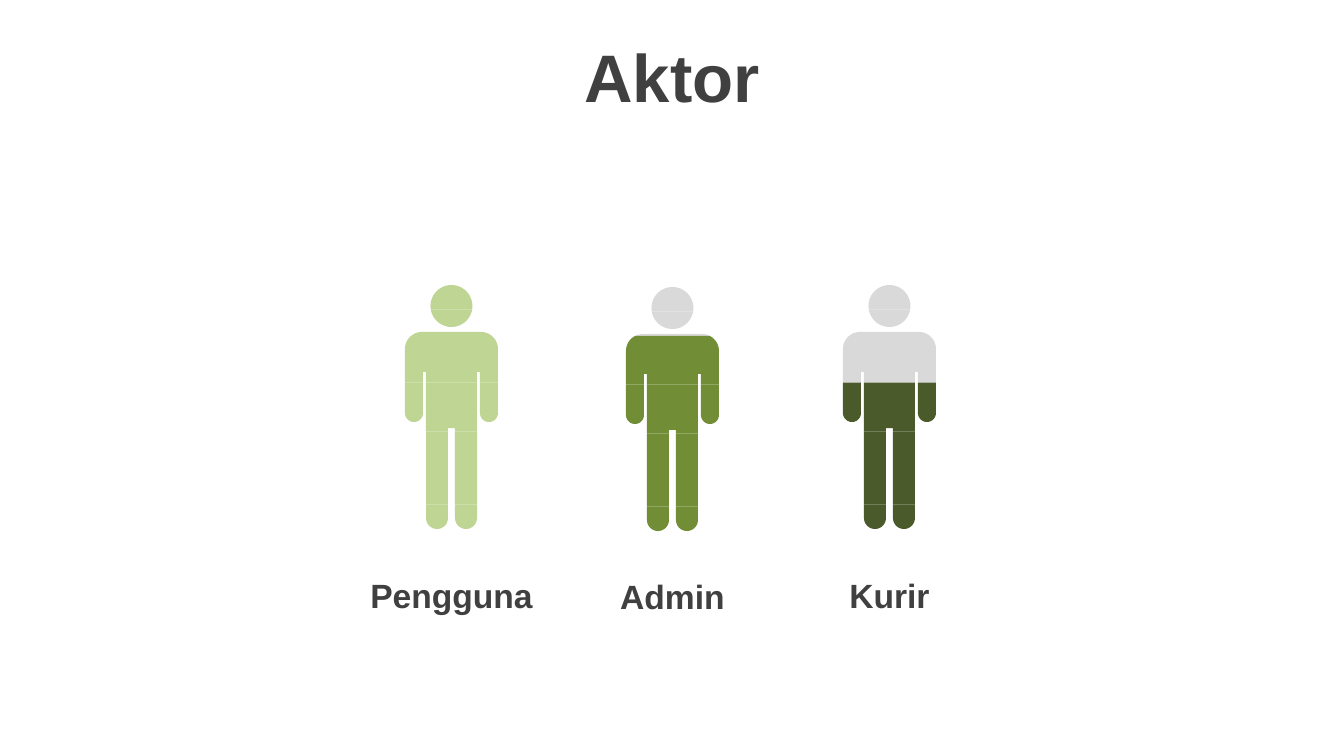
from math import cos, radians, sin

from pptx import Presentation
from pptx.dml.color import RGBColor
from pptx.enum.text import MSO_ANCHOR as Anchor, PP_ALIGN as Align
from pptx.util import Emu, Pt

PX = 914400 / 100.8
COLORS = {"text": "404040", "empty": "D9D9D9", "user": "BFD594",
          "admin": "718E37", "courier": "4A5A2B"}
PERSON_WIDTH, PERSON_HEIGHT, BANDS = 93, 244, 10


def px(length):
    return Emu(round(length * PX))


def write(box, text, size, line_spacing=None, space_before=0):
    frame = box.text_frame
    frame.word_wrap = True
    frame.vertical_anchor = Anchor.MIDDLE
    para = frame.paragraphs[0]
    para.alignment = Align.CENTER
    para.line_spacing = line_spacing
    para.space_before = Pt(space_before)
    span = para.add_run()
    span.text = text
    span.font.name = "Arial"
    span.font.size = Pt(size)
    span.font.bold = True
    span.font.color.rgb = RGBColor.from_string(COLORS["text"])


deck = Presentation()
deck.slide_width, deck.slide_height = px(1344), px(756)
page = deck.slides.add_slide(deck.slide_layouts[5])

# Title
title = page.shapes.title
title.left, title.top, title.width, title.height = px(0), px(38), px(1344), px(85)
write(title, "Aktor", 48, line_spacing=0.9, space_before=10)

# Left side of the person: arcs (center x, center y, radius, from, to) and points
head = [(PERSON_WIDTH / 2, 21, 21, 270, 90)]
shoulder = [(17, 64, 17, 270, 180), (0, 87)]
trunk = [(21, 87), (21, 143)]
arm = [(9, 128, 9, 180, 0), (18, 87), (0, 87)]
leg = [(32, 233, 11, 180, 0), (43, 143), (21, 143)]

# Outlines: arcs become short segments; the mirrored side is joined or set apart
outlines = []
for half, joined in ((head, True), (shoulder, True), (trunk, True), (arm, False), (leg, False)):
    points = []
    for part in half:
        if len(part) == 2:
            points.append(part)
            continue
        center_x, center_y, radius, start, end = part
        for step in range(25):
            angle = radians(start + (end - start) * step / 24)
            points.append((center_x + radius * cos(angle), center_y + radius * sin(angle)))
    mirrored = [(PERSON_WIDTH - x, y) for x, y in reversed(points)]
    outlines += [points + mirrored] if joined else [points, mirrored]

# Bands: each outline is cut below the band's top and above its bottom
band_height = PERSON_HEIGHT / BANDS
bands = []
for index in range(BANDS):
    contours = []
    for points in outlines:
        for limit, sign in ((index * band_height, 1), ((index + 1) * band_height, -1)):
            kept = []
            for (x1, y1), (x2, y2) in zip(points, points[1:] + points[:1]):
                inside = sign * (y1 - limit) >= 0
                if inside:
                    kept.append((x1, y1))
                if inside != (sign * (y2 - limit) >= 0):
                    kept.append((x1 + (x2 - x1) * (limit - y1) / (y2 - y1), limit))
            points = kept
        if points:
            contours.append(points)
    bands.append(contours)

# Actors: name, colour, empty bands, person left and top, label left, top and width
actors = [
    ("Pengguna", "user", 0, 405, 285, 345, 570, 213),
    ("Kurir", "courier", 4, 843, 285, 833, 570, 113),
    ("Admin", "admin", 2, 626, 287, 599, 571, 147),
]
for name, color, empty_bands, left, top, label_left, label_top, label_width in actors:
    person = []
    for index, contours in enumerate(bands):
        builder = None
        for points in contours:
            corners = [(px(left + x), px(top + y)) for x, y in points]
            if builder is None:
                builder = page.shapes.build_freeform(*corners[0])
            else:
                builder.move_to(*corners[0])
            builder.add_line_segments(corners[1:], close=True)
        band = builder.convert_to_shape()
        band.shadow.inherit = False
        band.line.fill.background()
        band.fill.solid()
        fill = "empty" if index < empty_bands else color
        band.fill.fore_color.rgb = RGBColor.from_string(COLORS[fill])
        person.append(band)
    page.shapes.add_group_shape(person)
    label = page.shapes.add_textbox(px(label_left), px(label_top), px(label_width), px(50))
    write(label, name, 24)

deck.save("out.pptx")
